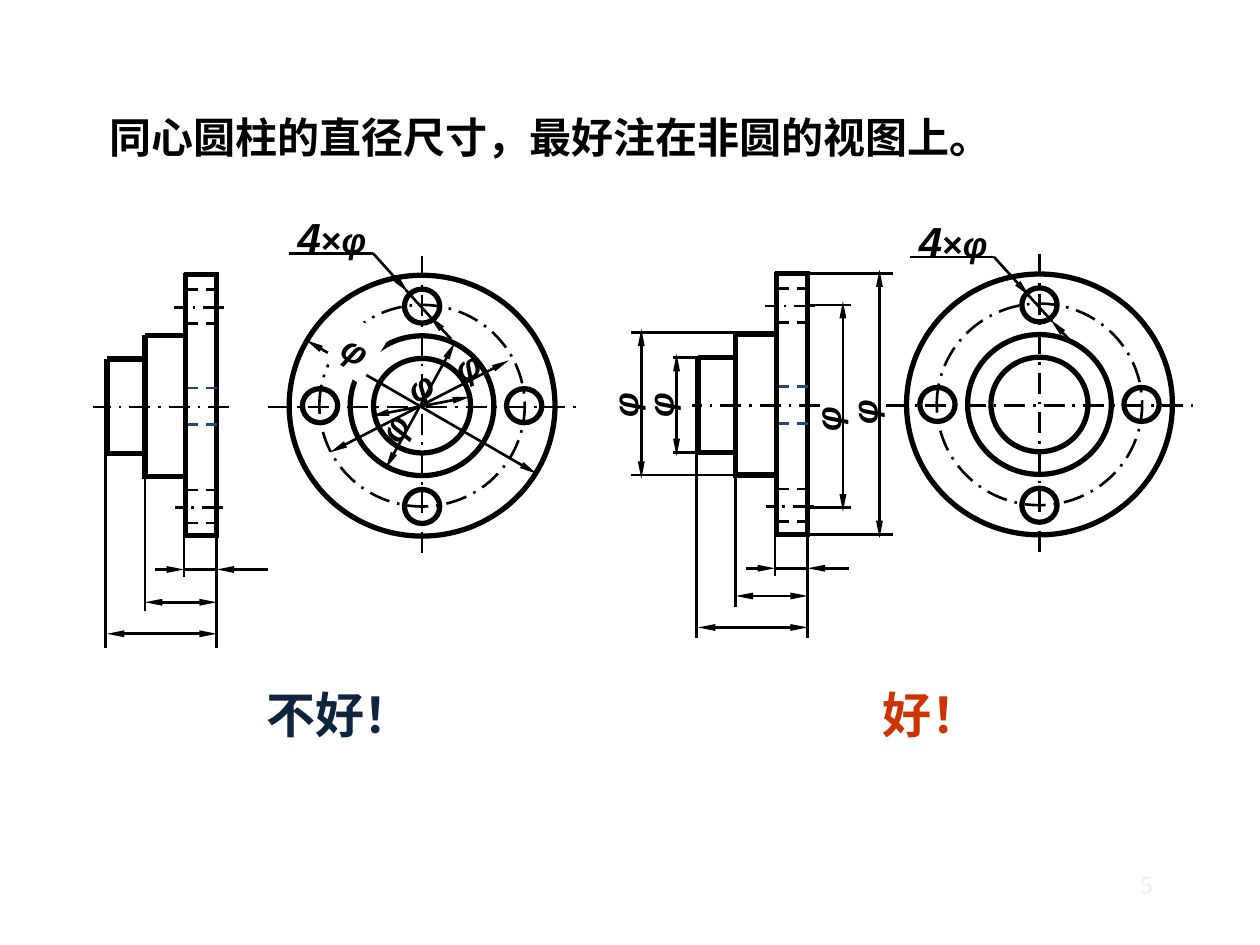
from lxml.etree import SubElement
from pptx import Presentation
from pptx.dml.color import RGBColor
from pptx.enum.dml import MSO_LINE
from pptx.enum.shapes import MSO_CONNECTOR, MSO_SHAPE
from pptx.enum.text import MSO_ANCHOR, PP_ALIGN
from pptx.oxml.ns import qn
from pptx.util import Cm, Pt

BLACK, BLUE, WHITE = "000000", "1F497D", "FFFFFF"
CHINESE, LATIN = "Noto Sans CJK SC", "Arial"
THICK, THIN = 3, 1.5
AXIS, HIDDEN = MSO_LINE.LONG_DASH_DOT, MSO_LINE.DASH
PHI_SIZE = (0.35, 0.43)

# Content; coordinates are in inches on the left-hand drawing
# Captions: box, text, size, font, colour, bold, alignment
CAPTIONS = [
    ((0.77, 0.83, 7.63, 0.51), "同心圆柱的直径尺寸，最好注在非圆的视图上。", 24, CHINESE, BLACK, True, PP_ALIGN.LEFT),
    ((6.9, 5.38, 0.99, 0.57), "好！", 28, CHINESE, "CC3300", True, PP_ALIGN.CENTER),
    ((1.81, 5.38, 1.77, 0.57), "不好！", 28, CHINESE, "0F243E", True, PP_ALIGN.CENTER),
    ((8.9, 6.8, 0.4, 0.42), "5", 14, "Times New Roman", "EEECE1", False, PP_ALIGN.CENTER),
]
# Front view: width, height, line width, dash
RINGS = [(2.11, 2.07, THICK, None), (1.14, 1.11, THICK, None),
         (0.77, 0.75, THICK, None), (1.63, 1.6, THIN, AXIS)]
FRONT_CENTRE = (3.35, 3.22)
HOLE_SIZE = (0.28, 0.27)
HOLE_OFFSETS = [(0, 0.8), (-0.81, 0), (0, -0.79), (0.81, 0)]
FRONT_AXES = [(2.13, 3.23, 4.57, 3.23), (3.35, 2.03, 3.35, 4.42)]

# Side view
OUTLINE = [
    (1.72, 2.18, 1.72, 4.25), (1.74, 2.18, 1.46, 2.18), (1.74, 4.25, 1.46, 4.25),
    (1.47, 2.17, 1.47, 4.25), (1.47, 2.66, 1.15, 2.66), (1.48, 3.78, 1.15, 3.78),
    (1.15, 2.66, 1.15, 3.8), (1.15, 3.6, 0.85, 3.6), (1.15, 2.85, 0.85, 2.85),
    (0.85, 2.85, 0.85, 3.6),
]
HOLE_AXES = [(1.78, 2.44, 1.38, 2.44), (1.77, 4.03, 1.39, 4.03)]
HOLE_EDGES = [(1.72, y, 1.47, y) for y in (2.3, 2.57, 3.89, 4.15)]
BORE_EDGES = [(1.72, y, 1.46, y) for y in (3.08, 3.37)]

# Leader of the hole callout: segment, arrow at its start
LEADER = [((3.22, 2.3, 3.42, 2.52), False), ((3.24, 2.32, 2.96, 2.01), True),
          ((3.41, 2.51, 3.58, 2.69), True), ((2.96, 2.01, 2.29, 2.01), False)]
CALLOUT_BOX = (2.23, 1.63, 0.81, 0.5)

# Diameters drawn across the circles, on the left: segment
CROSS_DIAMETERS = [(2.43, 2.7, 4.26, 3.76), (3.73, 3.15, 2.95, 3.3), (3.06, 3.72, 3.61, 2.72)]
PITCH_DIAMETER = (4.04, 2.86, 2.62, 3.59)
CROSS_LABELS = [(3.14, 2.86, 331.6), (2.94, 3.2, 297.4)]

# Diameters on the side view, on the right: x, top, bottom, extension lines' x range, label
SIDE_DIAMETERS = [
    (6.98, 2.17, 4.24, 6.42, 7.09, (6.68, 3.08)),
    (5.37, 2.84, 3.59, 5.55, 5.34, (5.06, 3.02)),
    (5.09, 2.64, 3.77, 5.85, 5.01, (4.78, 3.02)),
    (6.69, 2.42, 4.03, 6.41, 6.75, (6.39, 3.13)),
]

presentation = Presentation()
presentation.slide_width, presentation.slide_height = Cm(25.4), Cm(19.05)
slide = presentation.slides.add_slide(presentation.slide_layouts[6])


def inch(value):
    return Cm(value * 2.54)


def colour(value):
    return RGBColor.from_string(value)


def moved(segment, shift):
    return [value + shift[index % 2] for index, value in enumerate(segment)]


def style_line(line, width, dash, line_colour=BLACK):
    line.color.rgb = colour(line_colour)
    line.width = Pt(width)
    if dash:
        line.dash_style = dash


def add_line(segment, width=THIN, dash=None, line_colour=BLACK, start=False, end=False):
    connector = slide.shapes.add_connector(MSO_CONNECTOR.STRAIGHT, *map(inch, segment))
    style_line(connector.line, width, dash, line_colour)
    properties = connector._element.spPr
    line = connector.line._get_or_add_ln()
    for tag, wanted in (("a:headEnd", start), ("a:tailEnd", end)):
        if wanted:
            SubElement(line, qn(tag), type="triangle", w="sm", len="lg")
    SubElement(properties, qn("a:effectLst"))


def add_ellipse(centre, size, width=THICK, dash=None):
    (x, y), (w, h) = centre, size
    shape = slide.shapes.add_shape(MSO_SHAPE.OVAL, *map(inch, (x - w / 2, y - h / 2, w, h)))
    shape.shadow.inherit = False
    shape.fill.background()
    style_line(shape.line, width, dash)


def add_text(box, runs, font_name, font_colour=BLACK, bold=True, align=PP_ALIGN.CENTER,
             rotation=0, masked=False, wrap=False):
    if masked:
        shape = slide.shapes.add_shape(MSO_SHAPE.RECTANGLE, *map(inch, box))
        shape.shadow.inherit = False
        shape.fill.solid()
        shape.fill.fore_color.rgb = colour(WHITE)
        shape.line.fill.background()
    else:
        shape = slide.shapes.add_textbox(*map(inch, box))
    shape.rotation = rotation
    frame = shape.text_frame
    frame.word_wrap = wrap
    frame.vertical_anchor = MSO_ANCHOR.MIDDLE
    paragraph = frame.paragraphs[0]
    paragraph.alignment = align
    for text, size, italic in runs:
        run = paragraph.add_run()
        run.text = text
        font = run.font
        font.name, font.size, font.bold, font.italic = font_name, Pt(size), bold, italic
        font.color.rgb = colour(font_colour)
        SubElement(run._r.get_or_add_rPr(), qn("a:ea"), typeface=font_name)


def add_phi(x, y, rotation, masked=False, size=PHI_SIZE):
    add_text((x, y, *size), [("φ", 20, True)], LATIN, rotation=rotation, masked=masked)


def draw_front_view(shift):
    for axis in FRONT_AXES:
        add_line(moved(axis, shift), dash=AXIS)
    centre = moved(FRONT_CENTRE, shift)
    for w, h, width, dash in RINGS:
        add_ellipse(centre, (w, h), width, dash)
    for offset in HOLE_OFFSETS:
        add_ellipse(moved(centre, offset), HOLE_SIZE)


def draw_side_view(shift, axis_start, bottom, middle_bottom, levels, arrow_end):
    total_level, step_level = levels
    extensions = [(1.72, 4.25, 1.72, bottom), (0.84, 3.59, 0.84, bottom),
                  (1.46, 4.17, 1.46, 4.58), (1.15, 3.72, 1.15, middle_bottom)]
    # Length dimensions: segment, arrow at start, arrow at end
    lengths = [((1.15, step_level, 1.72, step_level), True, True),
               ((0.85, total_level, 1.72, total_level), True, True),
               ((1.23, 4.52, 1.46, 4.52), False, True),
               ((1.46, 4.52, 1.72, 4.52), False, False),
               ((1.72, 4.52, arrow_end, 4.52), True, False)]
    groups = [(OUTLINE, THICK, None, BLACK), (extensions, THIN, None, BLACK),
              (HOLE_AXES + [(1.82, 3.23, axis_start, 3.23)], THIN, AXIS, BLACK),
              (HOLE_EDGES, THIN, HIDDEN, BLACK), (BORE_EDGES, THIN, HIDDEN, BLUE)]
    for segments, width, dash, line_colour in groups:
        for segment in segments:
            add_line(moved(segment, shift), width, dash, line_colour)
    for segment, start, end in lengths:
        add_line(moved(segment, shift), start=start, end=end)


def draw_callout(shift):
    box = moved(CALLOUT_BOX[:2], shift) + list(CALLOUT_BOX[2:])
    add_text(box, [("4", 24, True), ("×", 20, False), ("φ", 20, True)], LATIN)
    for segment, arrow in LEADER:
        add_line(moved(segment, shift), start=arrow)


# Captions
for box, text, size, font_name, font_colour, bold, align in CAPTIONS:
    add_text(box, [(text, size, None)], font_name, font_colour, bold, align, wrap=True)

# Left drawing: diameters crowded on the circles
for x, y, rotation in CROSS_LABELS:
    add_phi(x, y, rotation)
add_phi(3.52, 2.69, 337.7, masked=True, size=(0.38, 0.43))
draw_front_view((0, 0))
draw_side_view((0, 0), 0.74, 5.14, 4.85, (5.03, 4.78), 2.13)
draw_callout((0, 0))
for segment in CROSS_DIAMETERS:
    add_line(segment, start=True, end=True)
add_phi(2.65, 2.56, 31.6, masked=True)
add_line(PITCH_DIAMETER, start=True, end=True)

# Right drawing: diameters on the side view
draw_front_view((4.9, -0.01))
draw_side_view((4.69, -0.01), 0.8, 5.07, 4.83, (4.99, 4.74), 2.05)
draw_callout((4.93, 0.03))
for x, top, bottom, near, far, label in SIDE_DIAMETERS:
    for y in (top, bottom):
        add_line((near, y, far, y))
    add_line((x, top - 0.03, x, bottom + 0.03), start=True, end=True)
    add_phi(*label, 270)

presentation.save("out.pptx")
